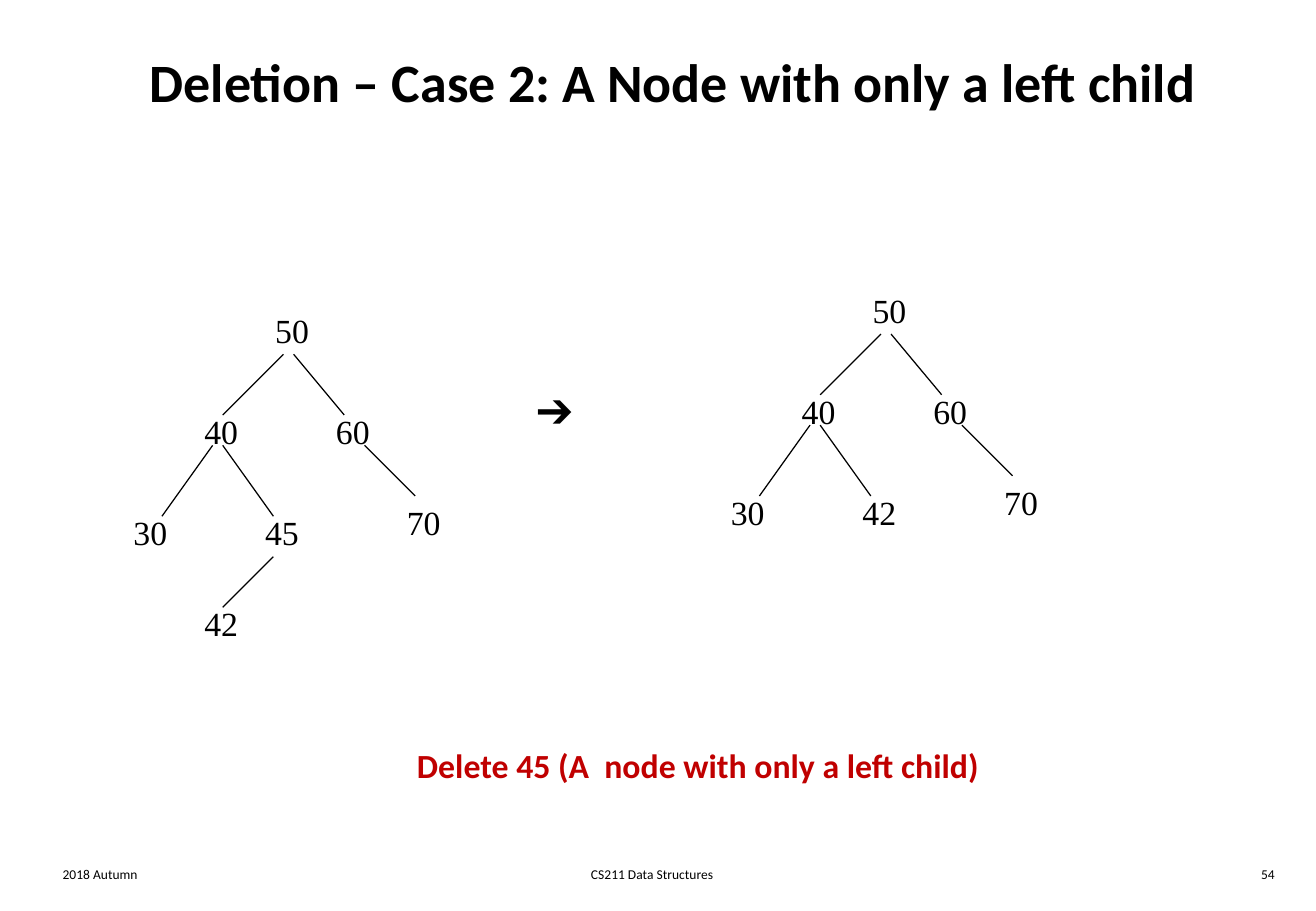
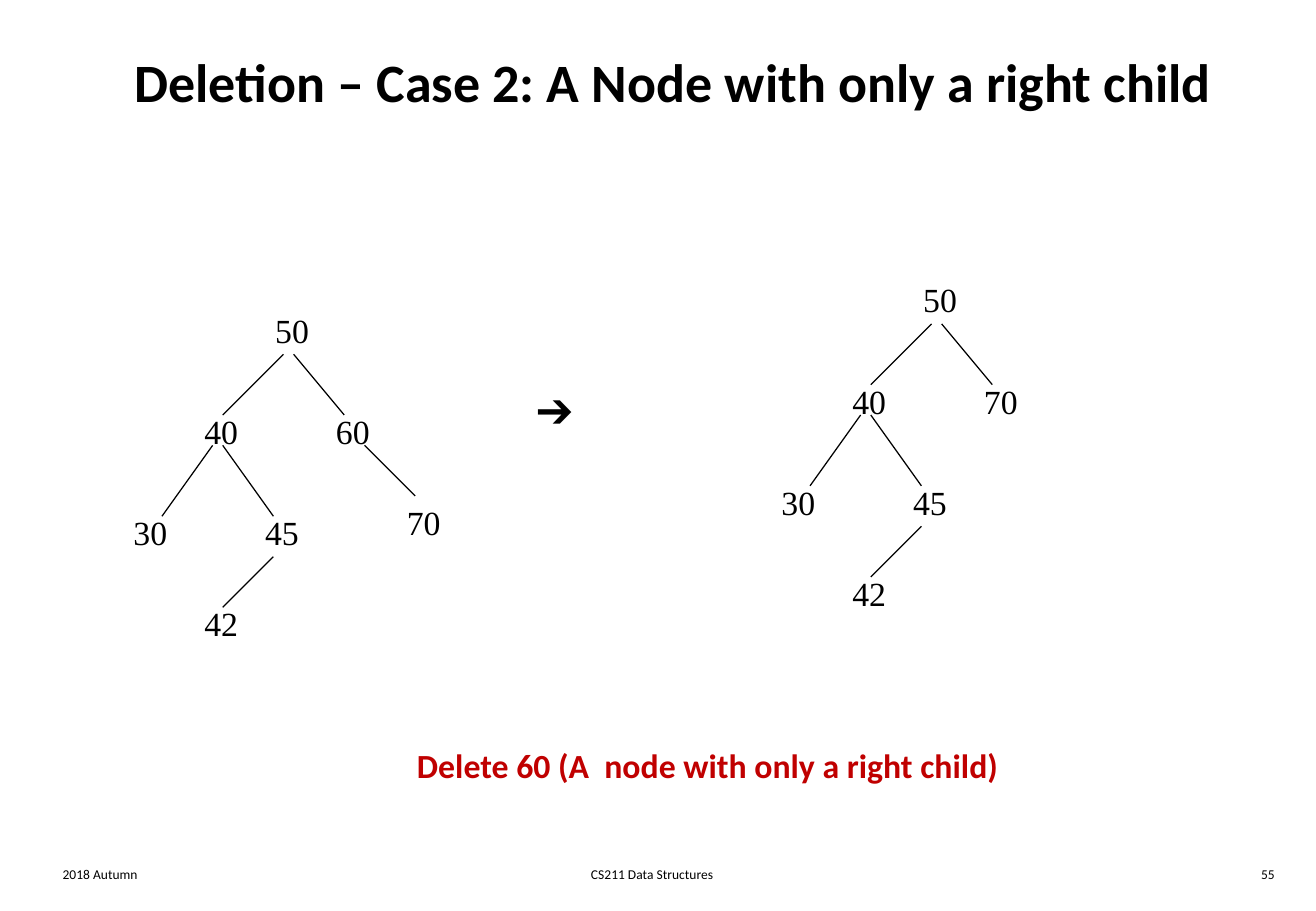
import dataclasses

import pptx
import pptx.dml.color
import pptx.enum.shapes
import pptx.enum.text
import pptx.oxml.ns
import pptx.util
from pptx.util import Cm

ALIGN = pptx.enum.text.PP_ALIGN
ANCHOR = pptx.enum.text.MSO_ANCHOR


@dataclasses.dataclass(frozen=True)
class Theme:
    ink: str = "000000"
    accent: str = "C00000"
    sans: str = "Calibri"
    serif: str = "Times New Roman"
    title_size: int = 32
    arrow_size: int = 24
    body_size: int = 20
    footer_size: int = 8
    branch_width: float = 0.75


THEME = Theme()
TITLE_ONLY = 5
FIRST_NUMBER = 54
GRID = Cm(2.54) // 12  # trees are laid out on twelfths of an inch

# Node label offsets from the root label, in grid steps
NODE_OFFSETS = {
    "root": (0, 0),
    "L": (-7, 10),
    "R": (6, 10),
    "LL": (-14, 20),
    "LR": (-1, 20),
    "RR": (13, 19),
    "LRL": (-7, 29),
}

# Branch leading to each node: start and end offsets from the root label
BRANCHES = {
    "L": ((2, 5), (-4, 11)),
    "R": ((3, 5), (8, 11)),
    "LL": ((-5, 14), (-10, 21)),
    "LR": ((-4, 14), (1, 21)),
    "RR": ((10, 14), (15, 19)),
    "LRL": ((1, 25), (-4, 30)),
}

FULL_TREE = {"root": "50", "L": "40", "R": "60", "LL": "30", "LR": "45",
             "RR": "70", "LRL": "42"}
WITHOUT_45 = {"root": "50", "L": "40", "R": "60", "LL": "30", "LR": "42",
              "RR": "70"}
WITHOUT_60 = {"root": "50", "L": "40", "R": "70", "LL": "30", "LR": "45",
              "LRL": "42"}
FULL_ROOT = (26, 30)

# Title, caption, caption width, tree after deletion and its root position
CASES = [
    ("Deletion – Case 2: A Node with only a left child",
     "Delete 45 (A  node with only a left child)", Cm(12.37),
     WITHOUT_45, (85, 28)),
    ("Deletion – Case 2: A Node with only a right child",
     "Delete 60 (A  node with only a right child)", Cm(12.75),
     WITHOUT_60, (90, 27)),
]


def write(frame, text, size, font, color=THEME.ink, bold=False, align=ALIGN.LEFT):
    frame.text = text
    paragraph = frame.paragraphs[0]
    paragraph.alignment = align
    style = paragraph.runs[0].font
    style.size = pptx.util.Pt(size)
    style.name = font
    style.bold = bold
    style.color.rgb = pptx.dml.color.RGBColor.from_string(color)


def add_label(shapes, box, text, size, font, **style):
    """One unwrapped line in a box that fits its text."""
    frame = shapes.add_textbox(*box).text_frame
    write(frame, text, size, font, **style)
    frame.word_wrap = False
    frame.auto_size = pptx.enum.text.MSO_AUTO_SIZE.SHAPE_TO_FIT_TEXT


def add_branch(shapes, start, end):
    branch = shapes.add_connector(
        pptx.enum.shapes.MSO_CONNECTOR.STRAIGHT, *start, *end)
    branch.line.width = pptx.util.Pt(THEME.branch_width)
    branch.line.color.rgb = pptx.dml.color.RGBColor.from_string(THEME.ink)
    properties = branch._element.spPr
    properties.append(properties.makeelement(pptx.oxml.ns.qn("a:effectLst"), {}))


def add_tree(slide, values, root):
    shapes = slide.shapes.add_group_shape().shapes

    def place(offset):
        return tuple((base + step) * GRID for base, step in zip(root, offset))

    for node, value in values.items():
        if node in BRANCHES:
            start, end = BRANCHES[node]
            add_branch(shapes, place(start), place(end))
        add_label(shapes, (*place(NODE_OFFSETS[node]), Cm(1.22), Cm(1.09)),
                  value, THEME.body_size, THEME.serif)


def add_title(slide, text):
    title = slide.shapes.title
    title.left, title.top = 5 * GRID, 2 * GRID
    title.width, title.height = 123 * GRID, 12 * GRID
    write(title.text_frame, text, THEME.title_size, THEME.sans,
          bold=True, align=ALIGN.CENTER)
    title.text_frame.vertical_anchor = ANCHOR.MIDDLE


def add_footer(slide, number):
    parts = [
        (Cm(1.06), Cm(5.74), "2018 Autumn", ALIGN.LEFT),
        (Cm(8.48), Cm(10.31), "CS211 Data Structures", ALIGN.CENTER),
        (Cm(21.16), Cm(5.74), str(number), ALIGN.RIGHT),
    ]
    for left, width, text, align in parts:
        frame = slide.shapes.add_textbox(left, 85 * GRID, width, 3 * GRID).text_frame
        frame.word_wrap = True
        write(frame, text, THEME.footer_size, THEME.sans, align=align)


def add_case(deck, number, title, caption, caption_width, result, result_root):
    slide = deck.slides.add_slide(deck.slide_layouts[TITLE_ONLY])
    add_footer(slide, number)
    add_title(slide, title)
    # Tree before deletion, arrow, tree after deletion
    add_tree(slide, FULL_TREE, FULL_ROOT)
    add_label(slide.shapes, (Cm(10.97), Cm(7.95), Cm(1.42), Cm(1.27)),
              "➔", THEME.arrow_size, THEME.serif)
    add_tree(slide, result, result_root)
    # Caption
    add_label(slide.shapes, (40 * GRID, 73 * GRID, caption_width, Cm(1.12)),
              caption, THEME.body_size, THEME.sans,
              color=THEME.accent, bold=True)


def main():
    deck = pptx.Presentation()
    deck.slide_width, deck.slide_height = Cm(27.51), Cm(19.05)
    for number, case in enumerate(CASES, FIRST_NUMBER):
        add_case(deck, number, *case)
    deck.save("out.pptx")


if __name__ == "__main__":
    main()
